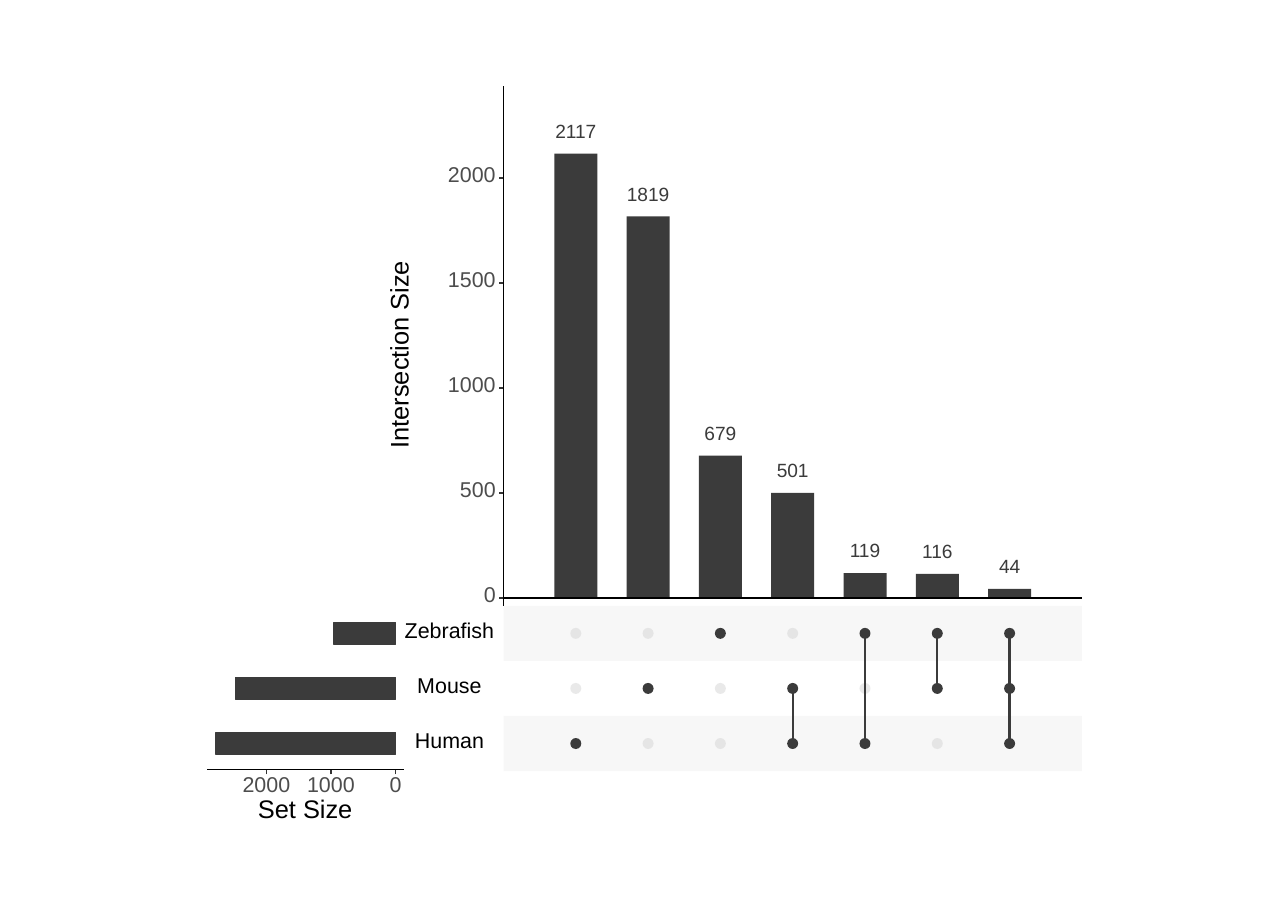
import dataclasses

import lxml.etree
import pptx
import pptx.dml.color
import pptx.enum.shapes
import pptx.enum.text
import pptx.oxml.ns
import pptx.util

Inches = pptx.util.Inches
Pt = pptx.util.Pt
qn = pptx.oxml.ns.qn
ALIGN = pptx.enum.text.PP_ALIGN
SHAPE = pptx.enum.shapes.MSO_SHAPE


@dataclasses.dataclass(frozen=True)
class Theme:
    font: str = "Arial"
    bar: str = "3B3B3B"
    axis: str = "000000"
    tick: str = "333333"
    scale: str = "4D4D4D"
    band: str = "E0E0E0"
    empty: str = "D4D4D4"
    count_size: float = 12.5
    label_size: float = 14
    title_size: float = 16.6
    axis_width: float = 1.07
    base_width: float = 0.64
    stem_width: float = 1.5


def rgb(color):
    return pptx.dml.color.RGBColor.from_string(color)


def apply(target, formats):
    for name, value in formats.items():
        setattr(target, name, value)


class UpsetPage:
    """Draws the parts of an intersection plot on one slide."""

    def __init__(self, page, theme):
        self.page = page
        self.theme = theme

    def shape(self, kind, left, top, width, height, color, opacity=100, outline=0):
        box = self.page.shapes.add_shape(kind, *map(Inches, (left, top, width, height)))
        box.shadow.inherit = False
        box.fill.solid()
        box.fill.fore_color.rgb = rgb(color)
        if outline:
            box.line.width = Pt(outline)
            box.line.color.rgb = rgb(color)
        else:
            box.line.fill.background()
        if opacity < 100:
            fill = box._element.spPr.find(qn("a:solidFill")).find(qn("a:srgbClr"))
            lxml.etree.SubElement(fill, qn("a:alpha"), val=str(opacity * 1000))

    def line(self, x1, y1, x2, y2, color, width):
        line = self.page.shapes.add_connector(
            pptx.enum.shapes.MSO_CONNECTOR.STRAIGHT, *map(Inches, (x1, y1, x2, y2)))
        line.line.width = Pt(width)
        line.line.color.rgb = rgb(color)
        lxml.etree.SubElement(line._element.spPr, qn("a:effectLst"))

    def text(self, content, center, middle, width, size, color, align=ALIGN.CENTER, rotation=0):
        height = 0.14
        box = self.page.shapes.add_textbox(
            *map(Inches, (center - width / 2, middle - height / 2, width, height)))
        box.rotation = rotation
        apply(box.text_frame, {
            "margin_left": 0, "margin_right": 0, "margin_top": 0, "margin_bottom": 0,
            "word_wrap": False, "vertical_anchor": pptx.enum.text.MSO_ANCHOR.MIDDLE})
        para = box.text_frame.paragraphs[0]
        apply(para, {"alignment": align, "line_spacing": Pt(size)})
        span = para.add_run()
        span.text = content
        apply(span.font, {"name": self.theme.font, "size": Pt(size)})
        span.font.color.rgb = rgb(color)


SETS = ["Zebrafish", "Mouse", "Human"]
INTERSECTIONS = [
    (["Human"], 2117),
    (["Mouse"], 1819),
    (["Zebrafish"], 679),
    (["Mouse", "Human"], 501),
    (["Zebrafish", "Human"], 119),
    (["Zebrafish", "Mouse"], 116),
    (["Zebrafish", "Mouse", "Human"], 44),
]
LEFT, RIGHT, TOP, BASE = 4.57, 9.82, 0.78, 5.43
STEP = (RIGHT - LEFT) / (len(INTERSECTIONS) + 1)
COUNT_SCALE = (BASE - TOP) / 2440
BAR_WIDTH = 0.39
MATRIX_TOP, ROW = 5.5, 0.5
DOT = 0.1
SET_LEFT, SET_ZERO, SET_RIGHT, SET_BASE = 1.88, 3.59, 3.67, 6.99
SET_SCALE = (SET_ZERO - SET_LEFT) / 2920
SET_BAR = 0.2
DIGIT = 0.11


def draw_intersections(upset):
    theme = upset.theme
    for column, (members, size) in enumerate(INTERSECTIONS, 1):
        x = LEFT + column * STEP
        height = size * COUNT_SCALE
        upset.shape(SHAPE.RECTANGLE, x - BAR_WIDTH / 2, BASE - height, BAR_WIDTH, height, theme.bar)
        upset.text(str(size), x, BASE - height - 0.19, DIGIT * len(str(size)),
                   theme.count_size, theme.bar)
    upset.line(LEFT, MATRIX_TOP, LEFT, TOP, theme.axis, theme.axis_width)
    upset.line(LEFT, BASE, RIGHT, BASE, theme.axis, theme.axis_width)
    for value in range(0, 2001, 500):
        y = BASE - value * COUNT_SCALE
        width = DIGIT * len(str(value))
        upset.text(str(value), LEFT - 0.07 - width / 2, y - 0.02, width,
                   theme.label_size, theme.scale, ALIGN.RIGHT)
        upset.line(LEFT - 0.04, y, LEFT, y, theme.tick, theme.axis_width)
    upset.text("Intersection Size", 3.64, 3.22, 1.75, theme.title_size, theme.axis, rotation=270)


def draw_matrix(upset):
    theme = upset.theme
    for row, name in enumerate(SETS):
        top = MATRIX_TOP + row * ROW
        if row % 2 == 0:
            upset.shape(SHAPE.RECTANGLE, LEFT, top, RIGHT - LEFT, ROW, theme.band, 25)
        upset.text(name, 4.08, top + 0.24, 0.9, theme.label_size, theme.axis)
    for column, (members, size) in enumerate(INTERSECTIONS, 1):
        x = LEFT + column * STEP
        joined = []
        for row, name in enumerate(SETS):
            y = MATRIX_TOP + (row + 0.5) * ROW
            color, opacity = (theme.bar, 100) if name in members else (theme.empty, 50)
            upset.shape(SHAPE.OVAL, x - DOT / 2, y - DOT / 2, DOT, DOT, color, opacity)
            if name in members:
                joined.append(y)
        if len(joined) > 1:
            upset.line(x, joined[-1], x, joined[0], theme.bar, theme.stem_width)


def draw_set_sizes(upset):
    theme = upset.theme
    for row, name in enumerate(SETS):
        total = sum(size for members, size in INTERSECTIONS if name in members)
        width = total * SET_SCALE
        middle = MATRIX_TOP + (row + 0.5) * ROW
        upset.shape(SHAPE.RECTANGLE, SET_ZERO - width, middle - SET_BAR / 2, width, SET_BAR,
                    theme.bar, outline=theme.axis_width)
    upset.line(SET_LEFT, SET_BASE, SET_RIGHT, SET_BASE, theme.axis, theme.base_width)
    for value in range(0, 2001, 1000):
        x = SET_ZERO - value * SET_SCALE
        upset.line(x, SET_BASE + 0.04, x, SET_BASE, theme.tick, theme.axis_width)
        upset.text(str(value), x, 7.14, DIGIT * len(str(value)), theme.label_size, theme.scale)
    upset.text("Set Size", 2.77, 7.36, 0.9, theme.title_size, theme.axis)


def main():
    deck = pptx.Presentation()
    apply(deck, {"slide_width": Inches(11.69), "slide_height": Inches(8.27)})
    upset = UpsetPage(deck.slides.add_slide(deck.slide_layouts[6]), Theme())
    draw_intersections(upset)
    draw_matrix(upset)
    draw_set_sizes(upset)
    deck.save("out.pptx")


if __name__ == "__main__":
    main()
